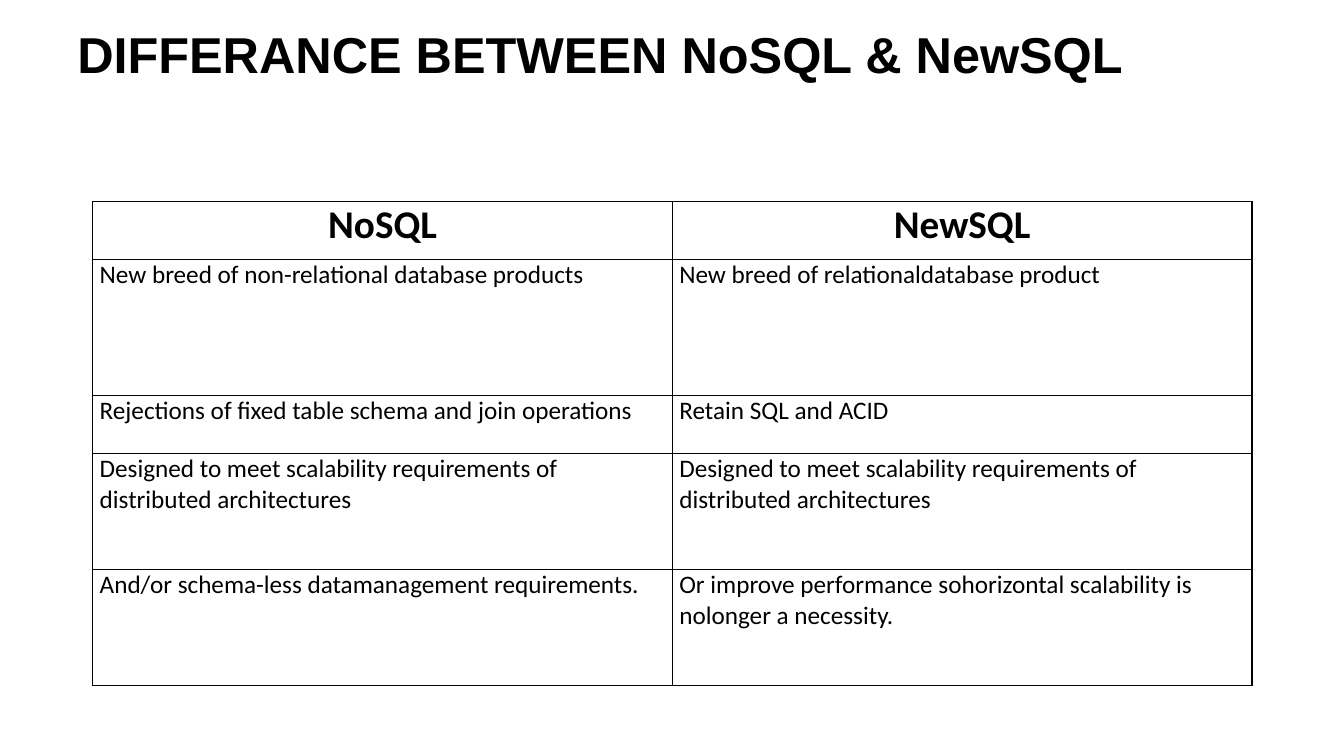
from dataclasses import dataclass

import pptx
import pptx.dml.color
import pptx.enum.text
import pptx.oxml
import pptx.oxml.ns
import pptx.util

Pt = pptx.util.Pt
PP_ALIGN = pptx.enum.text.PP_ALIGN
COLORS = {"background": "FFFFFF", "text": "000000", "border": "080000"}


@dataclass(frozen=True)
class TextStyle:
    font: str
    size: float
    bold: bool
    align: PP_ALIGN


@dataclass(frozen=True)
class ComparisonRow:
    height: float
    nosql: str
    newsql: str
    style: TextStyle


TITLE = TextStyle("Arial", 36, True, PP_ALIGN.LEFT)
HEADER = TextStyle("Calibri", 28, True, PP_ALIGN.CENTER)
BODY = TextStyle("Calibri", 18, False, PP_ALIGN.LEFT)

SCALABILITY = "Designed to meet scalability requirements of distributed architectures"
ROWS = [
    ComparisonRow(41.4, "NoSQL", "NewSQL", HEADER),
    ComparisonRow(97.2, "New breed of non-relational database products",
                  "New breed of relationaldatabase product", BODY),
    ComparisonRow(41.4, "Rejections of fixed table schema and join operations",
                  "Retain SQL and ACID", BODY),
    ComparisonRow(82.8, SCALABILITY, SCALABILITY, BODY),
    ComparisonRow(82.8, "And/or schema-less datamanagement requirements.",
                  "Or improve performance sohorizontal scalability is nolonger a necessity.",
                  BODY),
]
TABLE_LEFT, TABLE_TOP, COLUMN_WIDTH = 66.24, 144, 414


def rgb(name: str) -> pptx.dml.color.RGBColor:
    return pptx.dml.color.RGBColor.from_string(COLORS[name])


def write_text(tf, text: str, style: TextStyle) -> None:
    p = tf.paragraphs[0]
    p.alignment = style.align
    r = p.add_run()
    r.text = text
    r.font.name = style.font
    r.font.size = Pt(style.size)
    r.font.bold = style.bold
    r.font.color.rgb = rgb("text")


def add_borders(cell) -> None:
    """Put a 1 pt line on all four sides, ahead of the fill as the schema requires."""
    tc_pr = cell._tc.get_or_add_tcPr()
    for i, side in enumerate(("lnL", "lnR", "lnT", "lnB")):
        tc_pr.insert(i, pptx.oxml.parse_xml(
            f'<a:{side} {pptx.oxml.ns.nsdecls("a")} w="{Pt(1)}"><a:solidFill>'
            f'<a:srgbClr val="{COLORS["border"]}"/></a:solidFill></a:{side}>'))


def format_cell(cell, text: str, style: TextStyle) -> None:
    cell.margin_left = cell.margin_right = Pt(5)
    cell.margin_top = cell.margin_bottom = Pt(0)
    cell.fill.solid()
    cell.fill.fore_color.rgb = rgb("background")
    add_borders(cell)
    write_text(cell.text_frame, text, style)


def add_title(s, text: str) -> None:
    sp = s.shapes.title
    sp.left, sp.top, sp.width, sp.height = Pt(48), Pt(15), Pt(864), Pt(46)
    tf = sp.text_frame
    tf.auto_size = pptx.enum.text.MSO_AUTO_SIZE.NONE
    tf.vertical_anchor = pptx.enum.text.MSO_ANCHOR.MIDDLE
    write_text(tf, text, TITLE)


def add_comparison(s, rows: list[ComparisonRow]) -> None:
    table = s.shapes.add_table(
        len(rows), 2, Pt(TABLE_LEFT), Pt(TABLE_TOP),
        Pt(2 * COLUMN_WIDTH), Pt(sum(row.height for row in rows))).table
    for column in table.columns:
        column.width = Pt(COLUMN_WIDTH)
    for i, row in enumerate(rows):
        table.rows[i].height = Pt(row.height)
        for j, text in enumerate((row.nosql, row.newsql)):
            format_cell(table.cell(i, j), text, row.style)


def main() -> None:
    prs = pptx.Presentation()
    prs.slide_width, prs.slide_height = Pt(960), Pt(540)
    s = prs.slides.add_slide(prs.slide_layouts[5])
    s.background.fill.solid()
    s.background.fill.fore_color.rgb = rgb("background")
    add_title(s, "DIFFERANCE BETWEEN NoSQL & NewSQL")
    add_comparison(s, ROWS)
    prs.save("out.pptx")


if __name__ == "__main__":
    main()
